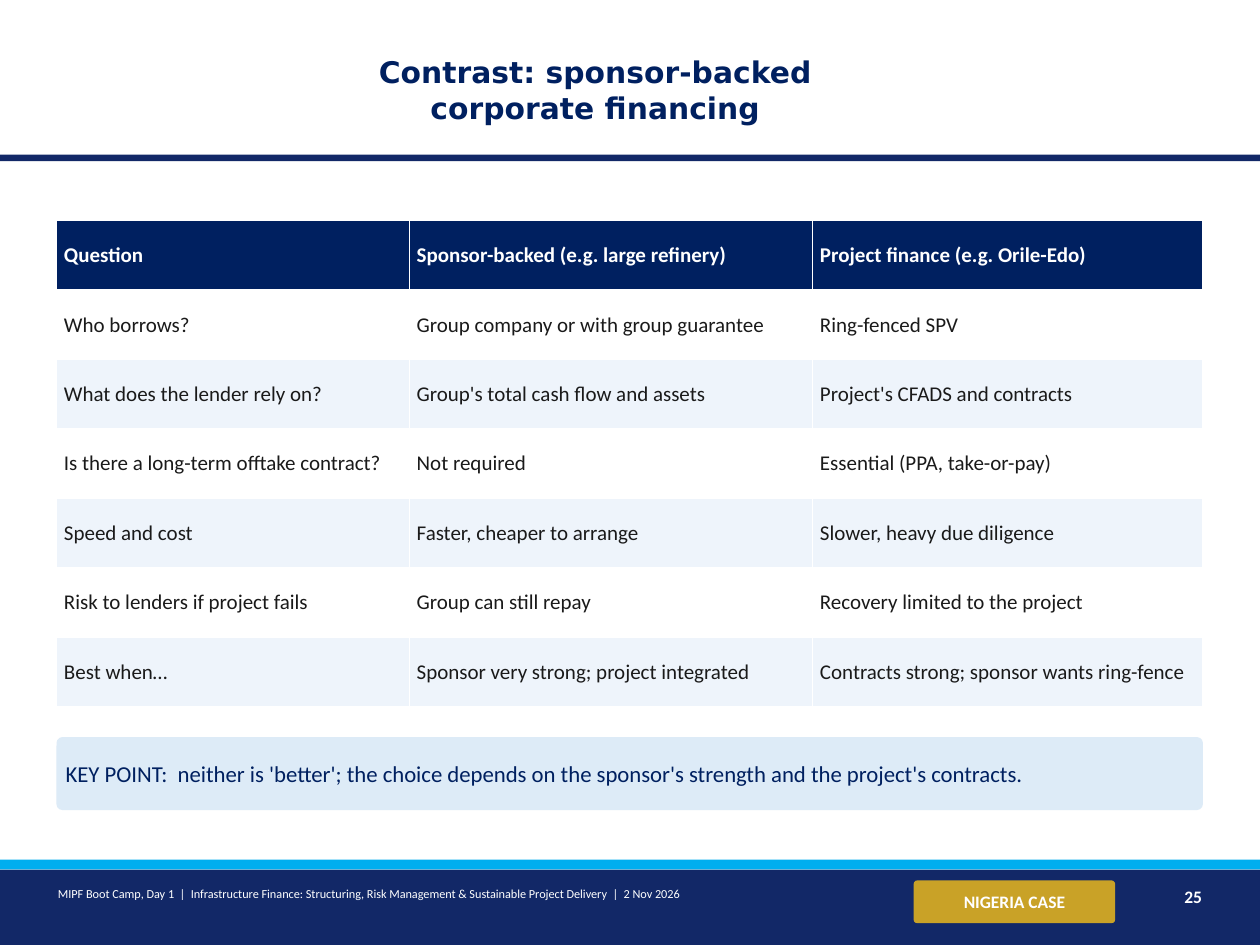
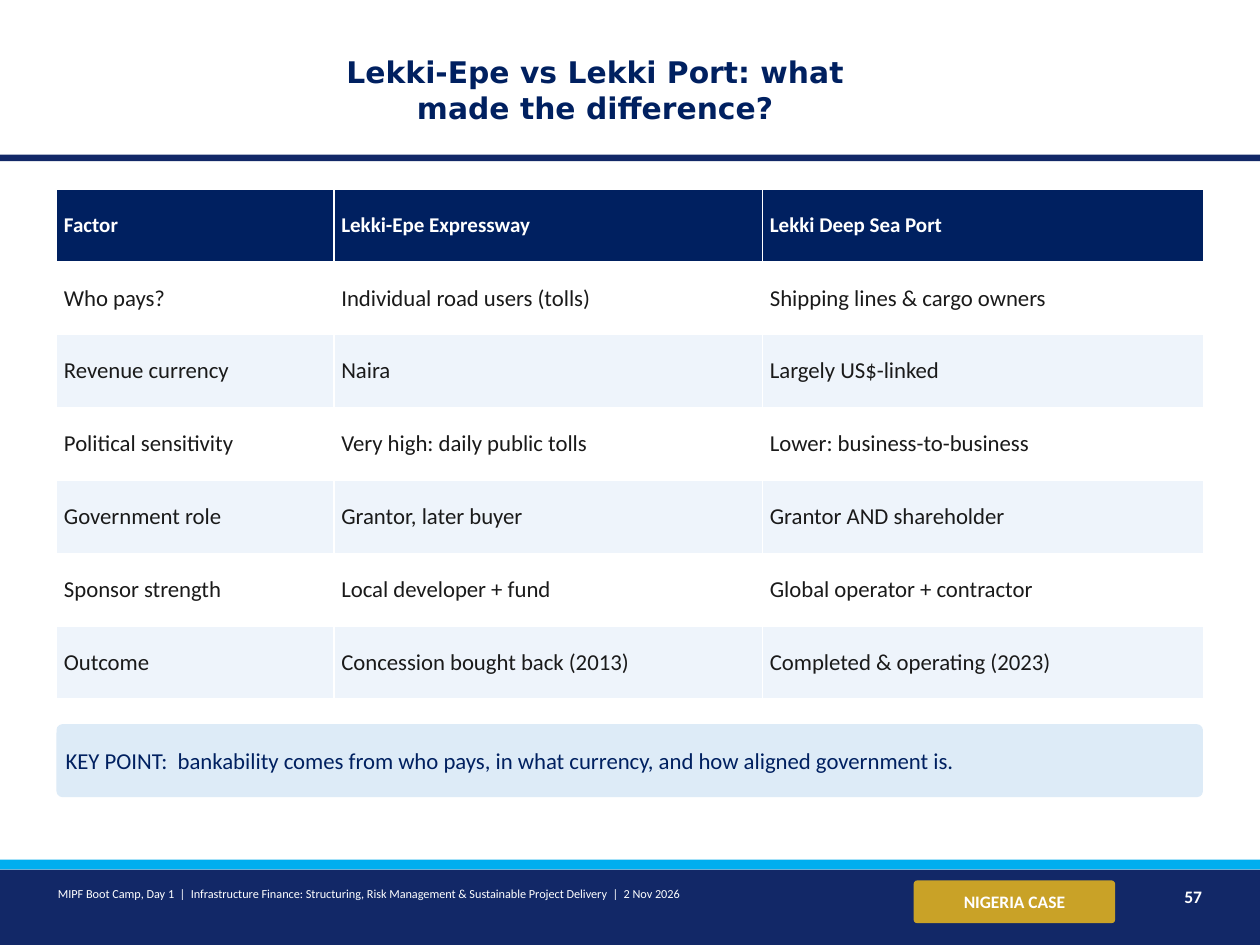
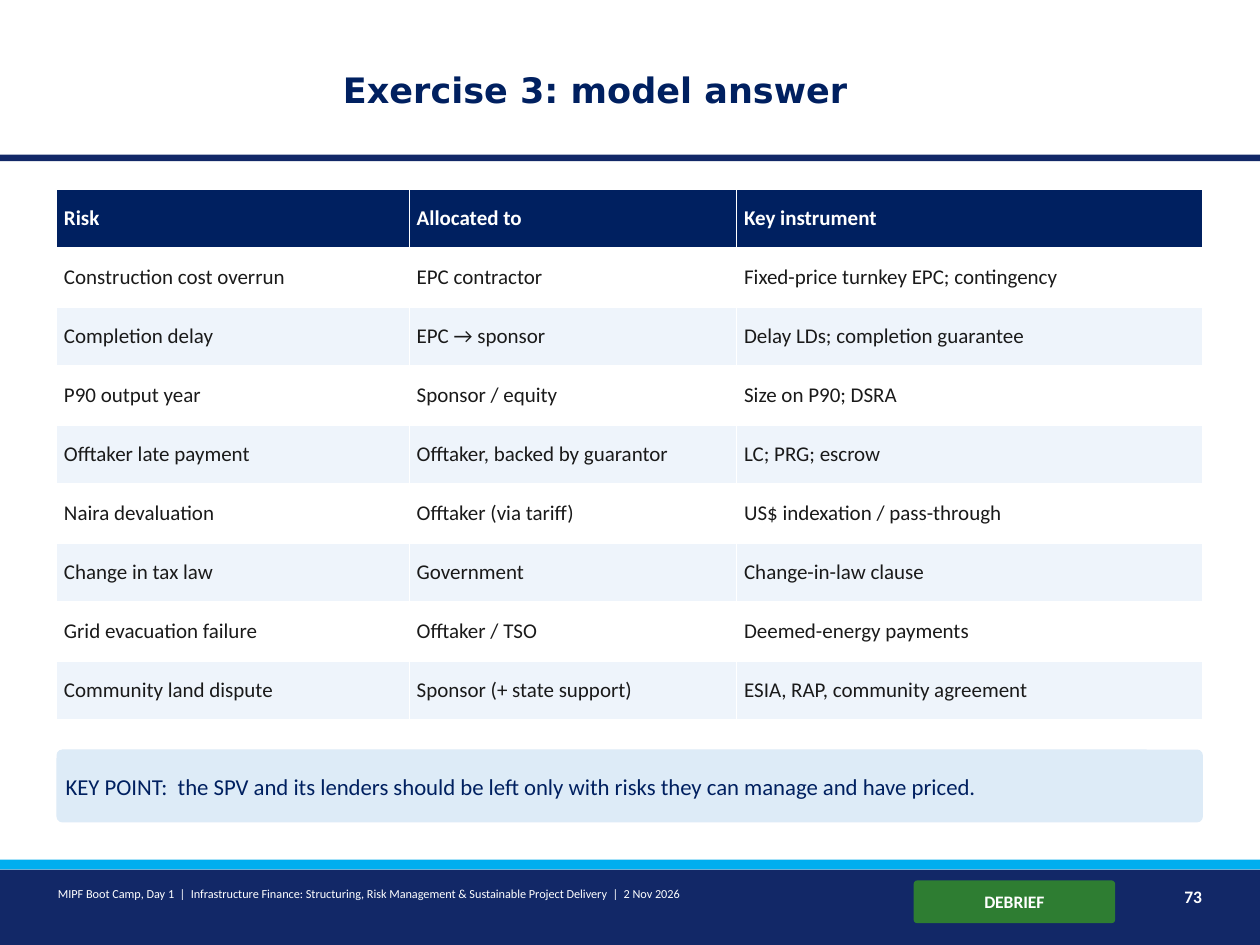
import pptx
import pptx.dml.color
import pptx.enum.shapes
import pptx.enum.text
import pptx.util

Cm = pptx.util.Cm
Pt = pptx.util.Pt
SHAPES = pptx.enum.shapes.MSO_SHAPE
ALIGN = pptx.enum.text.PP_ALIGN
MIDDLE = pptx.enum.text.MSO_ANCHOR.MIDDLE
AUTO_SIZE = pptx.enum.text.MSO_AUTO_SIZE

COLOURS = {
    "band": "122867",
    "accent": "00AEEF",
    "navy": "002060",
    "white": "FFFFFF",
    "text": "1A1A1A",
    "stripe": "EEF4FB",
    "key_point": "DDEBF7",
    "case": "C9A227",
    "debrief": "2E7D32",
}
BODY_FONT = "Calibri"
TITLE_FONT = "DejaVu Sans"
SLIDE_WIDTH, SLIDE_HEIGHT = 25.4, 19.05
CONTENT_LEFT, CONTENT_WIDTH = 1.14, 23.11
KEY_POINT_HEIGHT = 1.47
TITLE_BOX = (5.84, 0.56, 12.32, 2.49)
FOOTER_BOX = (0, 17.53, SLIDE_WIDTH, 1.52)
FOOTER_TEXT = (
    "MIPF Boot Camp, Day 1  |  Infrastructure Finance: Structuring, "
    "Risk Management & Sustainable Project Delivery  |  2 Nov 2026"
)

SLIDES = [
    {
        "title": "Contrast: sponsor-backed corporate financing",
        "title_size": 17,
        "tag": ("NIGERIA CASE", "case"),
        "page": 25,
        "table_top": 4.45,
        "row_height": 1.4,
        "columns": (7.11, 8.13, 7.87),
        "body_size": 12,
        "rows": [
            ("Question", "Sponsor-backed (e.g. large refinery)", "Project finance (e.g. Orile-Edo)"),
            ("Who borrows?", "Group company or with group guarantee", "Ring-fenced SPV"),
            ("What does the lender rely on?", "Group's total cash flow and assets", "Project's CFADS and contracts"),
            ("Is there a long-term offtake contract?", "Not required", "Essential (PPA, take-or-pay)"),
            ("Speed and cost", "Faster, cheaper to arrange", "Slower, heavy due diligence"),
            ("Risk to lenders if project fails", "Group can still repay", "Recovery limited to the project"),
            ("Best when…", "Sponsor very strong; project integrated", "Contracts strong; sponsor wants ring-fence"),
        ],
        "key_point_top": 14.86,
        "key_point": "neither is 'better'; the choice depends on the sponsor's strength and the project's contracts.",
    },
    {
        "title": "Lekki-Epe vs Lekki Port: what made the difference?",
        "title_size": 17,
        "tag": ("NIGERIA CASE", "case"),
        "page": 57,
        "table_top": 3.81,
        "row_height": 1.47,
        "columns": (5.59, 8.64, 8.89),
        "body_size": 13,
        "rows": [
            ("Factor", "Lekki-Epe Expressway", "Lekki Deep Sea Port"),
            ("Who pays?", "Individual road users (tolls)", "Shipping lines & cargo owners"),
            ("Revenue currency", "Naira", "Largely US$-linked"),
            ("Political sensitivity", "Very high: daily public tolls", "Lower: business-to-business"),
            ("Government role", "Grantor, later buyer", "Grantor AND shareholder"),
            ("Sponsor strength", "Local developer + fund", "Global operator + contractor"),
            ("Outcome", "Concession bought back (2013)", "Completed & operating (2023)"),
        ],
        "key_point_top": 14.6,
        "key_point": "bankability comes from who pays, in what currency, and how aligned government is.",
    },
    {
        "title": "Exercise 3: model answer",
        "title_size": 20,
        "tag": ("DEBRIEF", "debrief"),
        "page": 73,
        "table_top": 3.81,
        "row_height": 1.19,
        "columns": (7.11, 6.6, 9.4),
        "body_size": 12,
        "rows": [
            ("Risk", "Allocated to", "Key instrument"),
            ("Construction cost overrun", "EPC contractor", "Fixed-price turnkey EPC; contingency"),
            ("Completion delay", "EPC → sponsor", "Delay LDs; completion guarantee"),
            ("P90 output year", "Sponsor / equity", "Size on P90; DSRA"),
            ("Offtaker late payment", "Offtaker, backed by guarantor", "LC; PRG; escrow"),
            ("Naira devaluation", "Offtaker (via tariff)", "US$ indexation / pass-through"),
            ("Change in tax law", "Government", "Change-in-law clause"),
            ("Grid evacuation failure", "Offtaker / TSO", "Deemed-energy payments"),
            ("Community land dispute", "Sponsor (+ state support)", "ESIA, RAP, community agreement"),
        ],
        "key_point_top": 15.11,
        "key_point": "the SPV and its lenders should be left only with risks they can manage and have priced.",
    },
]


def colour(name):
    return pptx.dml.color.RGBColor.from_string(COLOURS[name])


def lengths(box):
    return [Cm(value) for value in box]


def set_margins(target):
    """Give a text frame or a table cell the deck's narrow margins."""
    target.margin_left = target.margin_right = Cm(0.15)
    target.margin_top = target.margin_bottom = Cm(0.08)


def write(text_frame, text, size, colour_name, bold=False, align=ALIGN.LEFT, font=BODY_FONT):
    text_frame.text = text
    paragraph = text_frame.paragraphs[0]
    paragraph.alignment = align
    paragraph.font.name = font
    paragraph.font.size = Pt(size)
    paragraph.font.bold = bold
    paragraph.font.color.rgb = colour(colour_name)


def add_panel(slide, box, fill, preset=SHAPES.RECTANGLE):
    shape = slide.shapes.add_shape(preset, *lengths(box))
    shape.shadow.inherit = False
    shape.fill.solid()
    shape.fill.fore_color.rgb = colour(fill)
    shape.line.fill.background()
    return shape


def add_rounded_label(slide, box, fill, text, *style):
    shape = add_panel(slide, box, fill, SHAPES.ROUNDED_RECTANGLE)
    shape.adjustments[0] = 0.08
    set_margins(shape.text_frame)
    shape.text_frame.word_wrap = True
    shape.text_frame.vertical_anchor = MIDDLE
    write(shape.text_frame, text, *style)


def add_text(slide, box, text, *style):
    text_frame = slide.shapes.add_textbox(*lengths(box)).text_frame
    set_margins(text_frame)
    text_frame.word_wrap = True
    text_frame.auto_size = AUTO_SIZE.SHAPE_TO_FIT_TEXT
    write(text_frame, text, *style)


def prepare_layout(layout, slide):
    """Place the title and move the shared bands from the slide to its layout."""
    title = layout.placeholders[0]
    title.left, title.top, title.width, title.height = lengths(TITLE_BOX)
    left, top, width, height = FOOTER_BOX
    bands = [
        ((0, 3.12, SLIDE_WIDTH, 0.13), "band"),
        ((left, top, width, height), "band"),
        ((left, top - 0.2, width, 0.2), "accent"),
    ]
    for box, fill in bands:
        layout.shapes.element.append(add_panel(slide, box, fill).element)


def fill_title(slide, text, size):
    text_frame = slide.shapes.title.text_frame
    text_frame.auto_size = AUTO_SIZE.NONE
    text_frame.vertical_anchor = MIDDLE
    write(text_frame, text, size, "navy", True, ALIGN.CENTER, TITLE_FONT)


def add_footer(slide, box, tag, page):
    left, top, width, height = box
    tag_text, tag_fill = tag
    add_rounded_label(slide, (left + 18.42, top + 0.22, 4.06, 0.86), tag_fill,
                      tag_text, 10, "white", True, ALIGN.CENTER)
    add_text(slide, (left + 1.02, top + 0.25, 17.27, 0.89), FOOTER_TEXT, 7, "white")
    add_text(slide, (left + width - 2.54, top + 0.25, 1.52, 0.89),
             str(page), 10, "white", True, ALIGN.RIGHT)


def add_comparison_table(slide, box, rows, columns, body_size):
    table = slide.shapes.add_table(len(rows), len(columns), *lengths(box)).table
    table.horz_banding = False
    for column, width in zip(table.columns, columns):
        column.width = Cm(width)
    for row_index, (row, texts) in enumerate(zip(table.rows, rows)):
        if row_index == 0:
            fill, style = "navy", (12, "white", True)
        else:
            fill = "white" if row_index % 2 else "stripe"
            style = (body_size, "text")
        for cell, text in zip(row.cells, texts):
            set_margins(cell)
            cell.vertical_anchor = MIDDLE
            cell.fill.solid()
            cell.fill.fore_color.rgb = colour(fill)
            write(cell.text_frame, text, *style)


def fill_slide(slide, content):
    fill_title(slide, content["title"], content["title_size"])
    add_footer(slide, FOOTER_BOX, content["tag"], content["page"])
    table_height = content["row_height"] * len(content["rows"])
    add_comparison_table(slide, (CONTENT_LEFT, content["table_top"], CONTENT_WIDTH, table_height),
                         content["rows"], content["columns"], content["body_size"])
    add_rounded_label(slide, (CONTENT_LEFT, content["key_point_top"], CONTENT_WIDTH, KEY_POINT_HEIGHT),
                      "key_point", "KEY POINT:  " + content["key_point"], 13, "navy")


def main():
    presentation = pptx.Presentation()
    presentation.slide_width = Cm(SLIDE_WIDTH)
    presentation.slide_height = Cm(SLIDE_HEIGHT)
    layout = presentation.slide_layouts.get_by_name("Title Only")
    slides = [presentation.slides.add_slide(layout) for _ in SLIDES]
    prepare_layout(layout, slides[0])
    for slide, content in zip(slides, SLIDES):
        fill_slide(slide, content)
    presentation.save("out.pptx")


if __name__ == "__main__":
    main()
